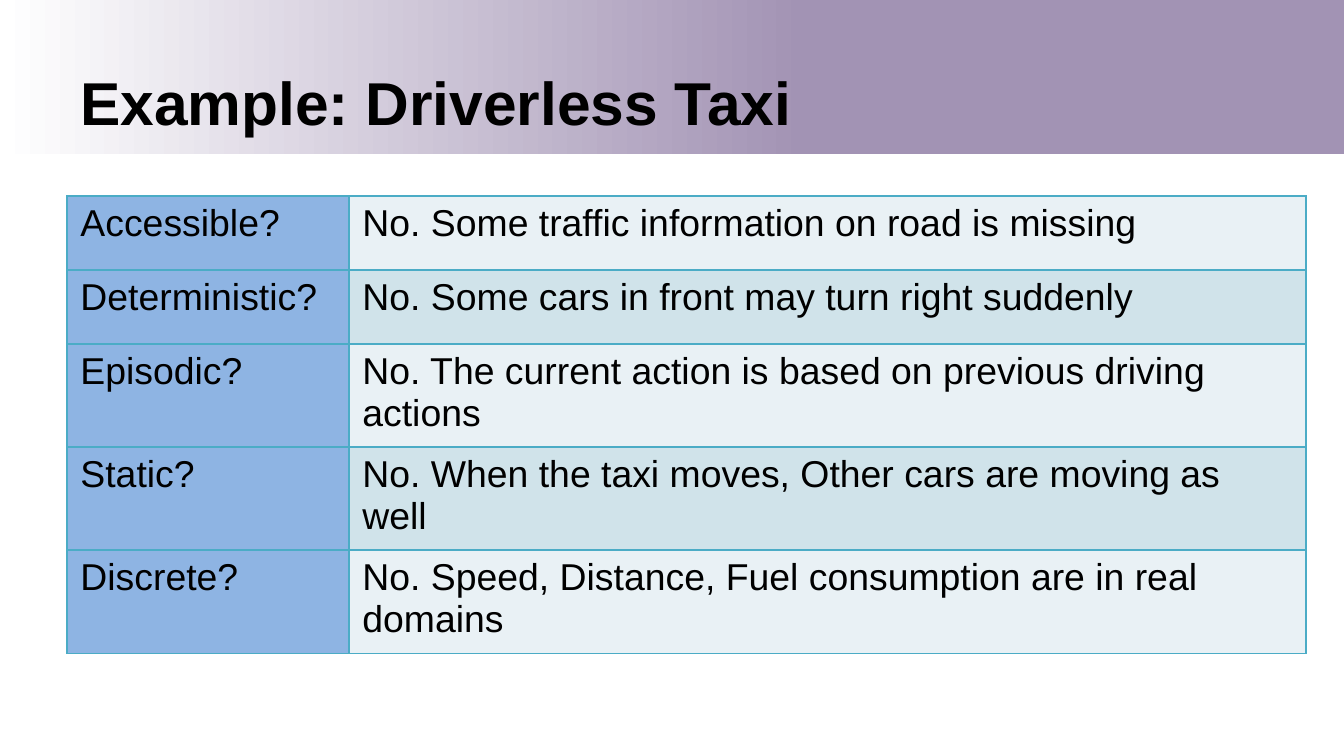
import pptx
import pptx.util
import pptx.dml.color
import pptx.enum.shapes
import pptx.enum.text
import lxml.etree

SCALE = 9144000 / 1344  # EMU per px
FONT = "Arial"
HUES = {
    "black": "000000",
    "white": "FFFFFF",
    "mauve": "A293B4",
    "blue": "8EB4E3",
    "pale": "E9F1F5",
    "mist": "D0E3EA",
    "teal": "4BACC6",
}
ROWS = [
    ("Accessible?", "No. Some traffic information on road is missing"),
    ("Deterministic?", "No. Some cars in front may turn right suddenly"),
    ("Episodic?", "No. The current action is based on previous driving actions"),
    ("Static?", "No. When the taxi moves, Other cars are moving as well"),
    ("Discrete?", "No. Speed, Distance, Fuel consumption are in real domains"),
]


def px(n):
    return pptx.util.Emu(round(n * SCALE))


def hue(name):
    return pptx.dml.color.RGBColor.from_string(HUES[name])


class Deck:
    def __init__(self, wide, high):
        self.show = pptx.Presentation()
        self.show.slide_width = px(wide)
        self.show.slide_height = px(high)
        self.slide = self.show.slides.add_slide(self.show.slide_layouts[6])

    def style(self, frame, text, size, bold=False):
        frame.text = text
        frame.word_wrap = True
        for run in frame.paragraphs[0].runs:
            run.font.name = FONT
            run.font.size = pptx.util.Pt(size)
            run.font.bold = bold
            run.font.color.rgb = hue("black")

    def band(self, box, start, end, stop):
        rect = pptx.enum.shapes.MSO_SHAPE.RECTANGLE
        shape = self.slide.shapes.add_shape(rect, *map(px, box))
        shape.shadow.inherit = False
        shape.line.fill.background()
        shape.fill.gradient()
        shape.fill.gradient_angle = 0
        stops = shape.fill.gradient_stops
        for mark, place, name in zip(stops, (0, stop), (start, end)):
            mark.position = place
            mark.color.rgb = hue(name)

    def title(self, box, text, size):
        frame = self.slide.shapes.add_textbox(*map(px, box)).text_frame
        frame.vertical_anchor = pptx.enum.text.MSO_ANCHOR.MIDDLE
        self.style(frame, text, size, bold=True)

    def edge(self, cell, name):
        props = cell._tc.get_or_add_tcPr()
        for spot, side in enumerate(("lnL", "lnR", "lnT", "lnB")):
            line = lxml.etree.Element(pptx.oxml.ns.qn("a:" + side), w="12700")
            fill = lxml.etree.SubElement(line, pptx.oxml.ns.qn("a:solidFill"))
            lxml.etree.SubElement(fill, pptx.oxml.ns.qn("a:srgbClr"), val=HUES[name])
            props.insert(spot, line)

    def table(self, left, top, cols, high, rows, size):
        box = (left, top, sum(cols), high * len(rows))
        grid = self.slide.shapes.add_table(len(rows), len(cols), *map(px, box)).table
        for col, wide in zip(grid.columns, cols):
            col.width = px(wide)
        for r, row in enumerate(rows):
            grid.rows[r].height = px(high)
            fills = ("blue", "mist" if r % 2 else "pale")
            for c, text in enumerate(row):
                cell = grid.cell(r, c)
                self.style(cell.text_frame, text, size)
                cell.fill.solid()
                cell.fill.fore_color.rgb = hue(fills[c])
                self.edge(cell, "teal")


def main():
    deck = Deck(1344, 756)
    # Header
    deck.band((0, 0, 1344, 154), "white", "mauve", 0.6)
    deck.title((67, 62, 1210, 79), "Example: Driverless Taxi", 32.4)
    # Properties of the taxi's world
    deck.table(67, 196, (282, 957), 74, ROWS, 20)
    deck.show.save("out.pptx")


if __name__ == "__main__":
    main()
